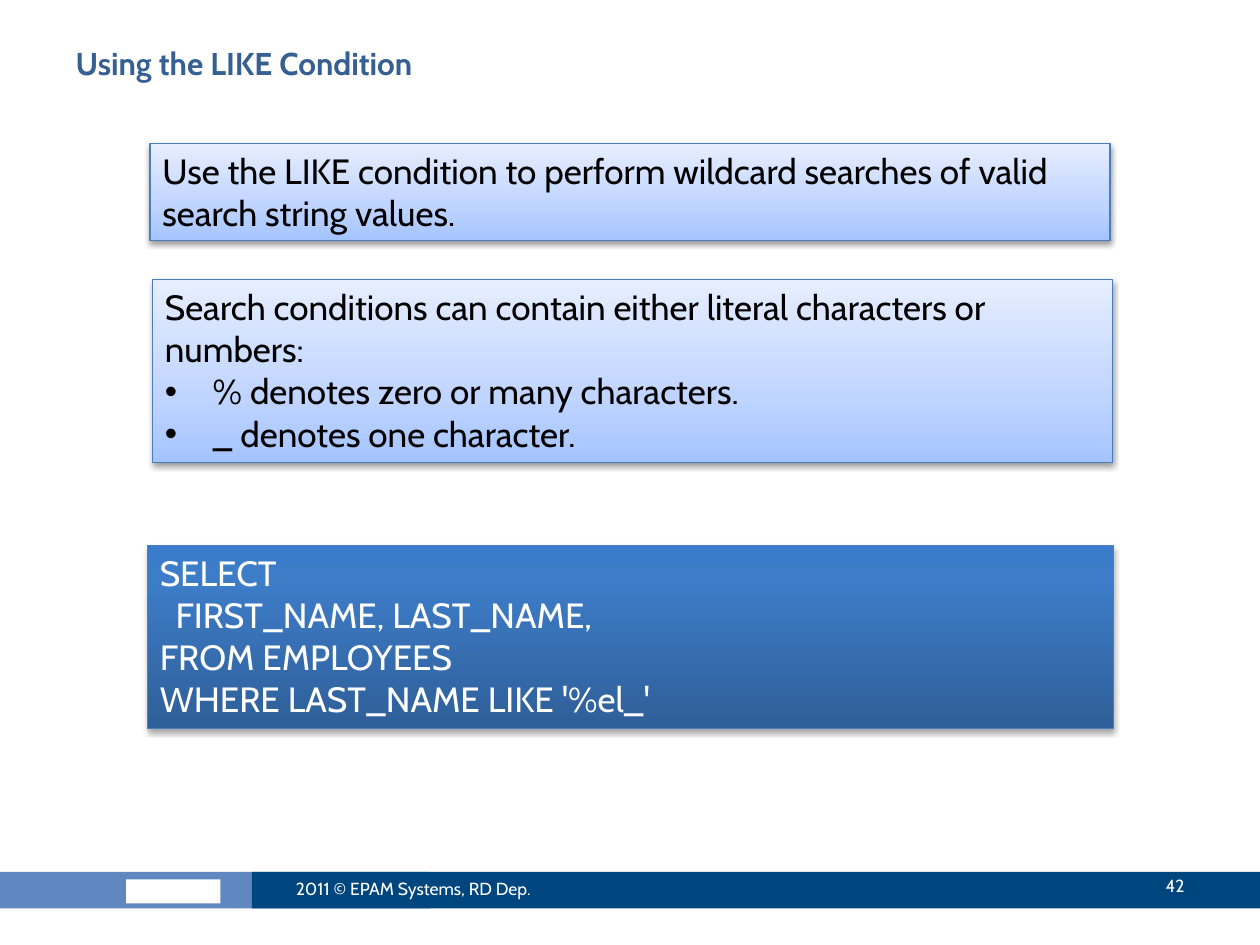
from lxml.etree import SubElement
from pptx import Presentation
from pptx.dml.color import RGBColor
from pptx.enum.shapes import MSO_SHAPE as Shape
from pptx.enum.text import MSO_ANCHOR as Anchor, PP_ALIGN as Align
from pptx.oxml.ns import qn
from pptx.util import Inches, Pt

WHITE = RGBColor(0xFF, 0xFF, 0xFF)
BLACK = RGBColor(0x00, 0x00, 0x00)
TITLE_BLUE = RGBColor(0x37, 0x60, 0x92)
NAVY = RGBColor(0x00, 0x46, 0x7E)
STEEL = RGBColor(0x60, 0x87, 0xBF)
BORDER = RGBColor(0x4B, 0x7E, 0xBC)
LIGHT_STOPS = [
    (0, RGBColor(0xA4, 0xC4, 0xFF)),
    (35, RGBColor(0xBF, 0xD4, 0xFF)),
    (100, RGBColor(0xE6, 0xEE, 0xFF)),
]
DARK_STOPS = [
    (0, RGBColor(0x2F, 0x5F, 0x99)),
    (80, RGBColor(0x3D, 0x7C, 0xC7)),
    (100, RGBColor(0x3A, 0x7C, 0xCB)),
]


class SlideBuilder:
    """Hold the text style and the current slide, and add its elements."""

    font_name = "Cabin"

    def __init__(self, slide):
        self.slide = slide

    def add_span(self, para, text, size, color, bold=False):
        span = para.add_run()
        span.text = text
        span.font.name = self.font_name
        span.font.size = Pt(size)
        span.font.bold = bold
        span.font.color.rgb = color

    def title(self, text, left, top, width, height):
        box = self.slide.shapes.title
        box.left, box.top = Inches(left), Inches(top)
        box.width, box.height = Inches(width), Inches(height)
        box.text_frame.vertical_anchor = Anchor.TOP
        para = box.text_frame.paragraphs[0]
        para.alignment = Align.LEFT
        self.add_span(para, text, 18, TITLE_BLUE, bold=True)

    def rectangle(self, left, top, width, height):
        box = self.slide.shapes.add_shape(
            Shape.RECTANGLE, Inches(left), Inches(top), Inches(width), Inches(height)
        )
        box.shadow.inherit = False
        return box

    def bar(self, color, left, top, width, height):
        box = self.rectangle(left, top, width, height)
        box.fill.solid()
        box.fill.fore_color.rgb = color
        box.line.fill.background()

    def footer(self, text, align, left, top, width, height):
        box = self.slide.shapes.add_textbox(
            Inches(left), Inches(top), Inches(width), Inches(height)
        )
        box.text_frame.word_wrap = True
        box.text_frame.vertical_anchor = Anchor.MIDDLE
        para = box.text_frame.paragraphs[0]
        para.alignment = align
        self.add_span(para, text, 10, WHITE)

    def gradient(self, box, stops):
        box.fill.gradient()
        box.fill.gradient_angle = 90
        stop_list = next(box.element.spPr.iter(qn("a:gsLst")))
        for stop in list(stop_list):
            stop_list.remove(stop)
        for position, color in stops:
            stop = SubElement(stop_list, qn("a:gs"), pos=str(position * 1000))
            SubElement(stop, qn("a:srgbClr"), val=str(color))

    def shadow(self, box, opacity, distance):
        effects = box.element.spPr.find(qn("a:effectLst"))
        outer = SubElement(
            effects, qn("a:outerShdw"), blurRad=str(Pt(3.1)),
            dist=str(Pt(distance)), dir="5400000", rotWithShape="0",
        )
        color = SubElement(outer, qn("a:srgbClr"), val=str(BLACK))
        SubElement(color, qn("a:alpha"), val=str(opacity * 1000))

    def bullet(self, para):
        props = para._p.get_or_add_pPr()
        props.set("marL", str(Inches(0.38)))
        props.set("indent", str(-Inches(0.38)))
        SubElement(props, qn("a:buFont"), typeface="Arial")
        SubElement(props, qn("a:buChar"), char="•")

    def panel(self, lines, place, stops, color, opacity, distance, bullets=()):
        box = self.rectangle(*place)
        self.gradient(box, stops)
        box.line.color.rgb = BORDER
        box.line.width = Pt(0.75)
        self.shadow(box, opacity, distance)
        frame = box.text_frame
        frame.word_wrap = True
        frame.vertical_anchor = Anchor.TOP
        for index, text in enumerate([*lines, *bullets]):
            para = frame.add_paragraph() if index else frame.paragraphs[0]
            para.alignment = Align.LEFT
            if index >= len(lines):
                self.bullet(para)
            self.add_span(para, text, 20, color)


def main():
    deck = Presentation()
    deck.slide_width, deck.slide_height = Inches(10), Inches(7.5)
    page = SlideBuilder(deck.slides.add_slide(deck.slide_layouts[5]))

    page.bar(STEEL, -0.02, 6.92, 3.43, 0.29)
    page.bar(WHITE, 1, 6.98, 0.75, 0.19)
    page.bar(NAVY, 2, 6.92, 8, 0.29)
    page.title("Using the LIKE Condition", 0.5, 0.3, 9, 0.78)
    page.footer("2011 © EPAM Systems, RD Dep.", Align.LEFT, 2.25, 6.85, 2.67, 0.4)
    page.footer("42", Align.RIGHT, 8.42, 6.83, 1.08, 0.4)

    page.panel(
        ["Use the LIKE condition to perform wildcard searches of valid search string values."],
        (1.19, 1.14, 7.62, 0.77), LIGHT_STOPS, BLACK, 38, 1.6,
    )
    page.panel(
        ["Search conditions can contain either literal characters or numbers:"],
        (1.21, 2.22, 7.62, 1.45), LIGHT_STOPS, BLACK, 38, 1.6,
        bullets=["% denotes zero or many characters.", "_ denotes one character."],
    )
    page.panel(
        [
            "SELECT",
            "  FIRST_NAME, LAST_NAME,",
            "FROM EMPLOYEES",
            "WHERE LAST_NAME LIKE '%el_'",
        ],
        (1.17, 4.33, 7.67, 1.45), DARK_STOPS, WHITE, 35, 1.8,
    )
    deck.save("out.pptx")


if __name__ == "__main__":
    main()
